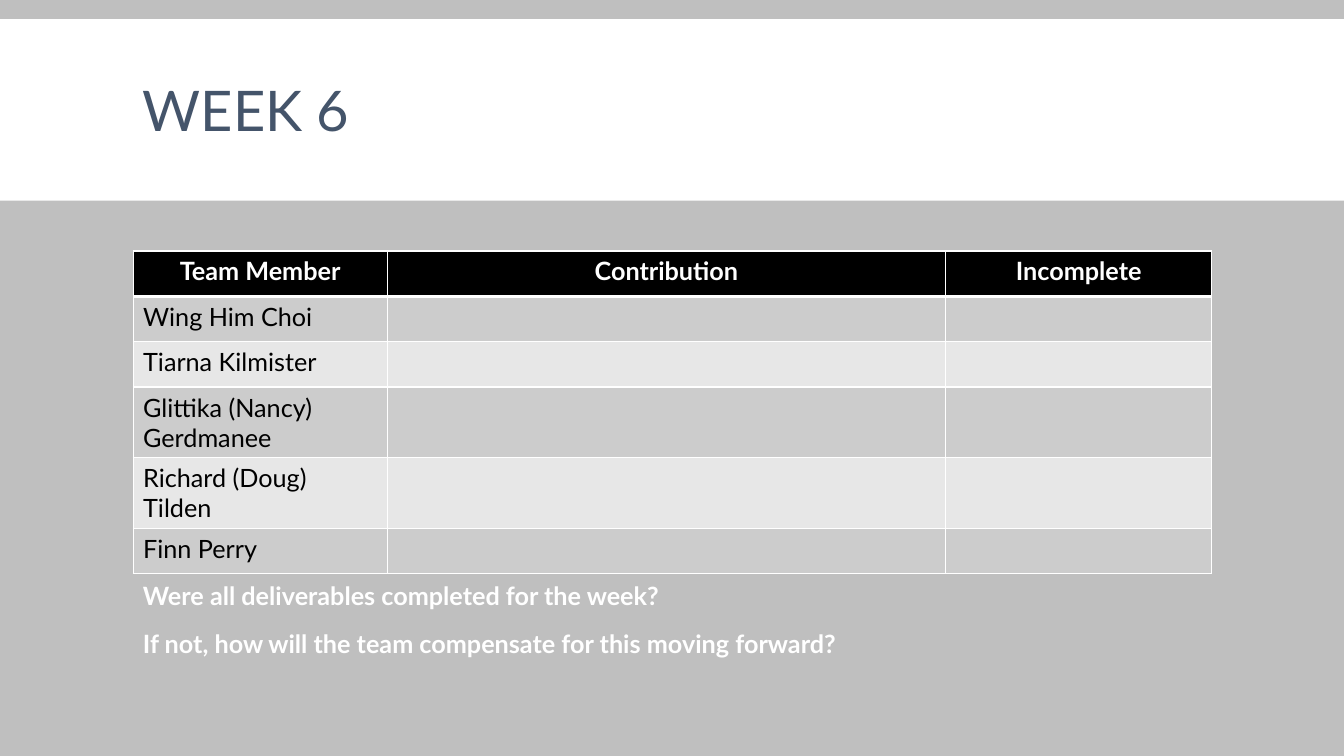
from lxml import etree
from pptx import Presentation
from pptx.dml.color import RGBColor
from pptx.enum import shapes, text
from pptx.oxml.ns import qn
from pptx.util import Inches, Pt

TITLE = "WEEK 6"
HEADINGS = ["Team Member", "Contribution", "Incomplete"]
MEMBERS = [
    "Wing Him Choi",
    "Tiarna Kilmister",
    "Glittika (Nancy) Gerdmanee",
    "Richard (Doug) Tilden",
    "Finn Perry",
]
QUESTIONS = [
    "Were all deliverables completed for the week?",
    "If not, how will the team compensate for this moving forward?",
]

THEME = {
    "font": "Lato", "title_size": 40, "text_size": 18,
    "background": "BFBFBF", "white": "FFFFFF", "title": "44546A",
    "black": "000000", "bands": ["CCCCCC", "E7E7E7"],
}
LEFT, WIDTH = 1.32, 10.7
COLUMN_WIDTHS = [2.52, 5.54, 2.64]
ROW_HEIGHT = 0.45
TITLE_FORMAT = {"line_spacing": 0.85}
QUESTION_FORMAT = {"line_spacing": 0.95, "space_before": Pt(12), "space_after": Pt(2)}
HEADING_FORMAT = {"alignment": text.PP_ALIGN.CENTER}


def paint(fill, color):
    fill.solid()
    fill.fore_color.rgb = RGBColor.from_string(color)


def write(frame, lines, size, color, bold, layout):
    frame.word_wrap = True
    for index, line in enumerate(lines):
        paragraph = frame.add_paragraph() if index else frame.paragraphs[0]
        for name, value in layout.items():
            setattr(paragraph, name, value)
        font = {"name": THEME["font"], "size": Pt(size), "bold": bold}
        run = paragraph.add_run()
        run.text = line
        for name, value in font.items():
            setattr(run.font, name, value)
        run.font.color.rgb = RGBColor.from_string(color)


def add_text(top, height, anchor, *content):
    box = slide.shapes.add_textbox(Inches(LEFT), Inches(top), Inches(WIDTH), Inches(height))
    box.text_frame.vertical_anchor = anchor
    write(box.text_frame, *content)


def add_borders(cell, widths):
    properties = cell._tc.get_or_add_tcPr()
    for index, (side, width) in enumerate(widths.items()):
        border = etree.Element(qn(f"a:ln{side}"), w=str(Pt(width)))
        fill = etree.SubElement(border, qn("a:solidFill"))
        etree.SubElement(fill, qn("a:srgbClr"), val=THEME["white"])
        properties.insert(index, border)


deck = Presentation()
deck.slide_width, deck.slide_height = Inches(13.33), Inches(7.5)
slide = deck.slides.add_slide(deck.slide_layouts[6])
paint(slide.background.fill, THEME["background"])

title_band = slide.shapes.add_shape(
    shapes.MSO_SHAPE.RECTANGLE, 0, Inches(0.19), deck.slide_width, Inches(1.8))
title_band.shadow.inherit = False
paint(title_band.fill, THEME["white"])
title_band.line.fill.background()

add_text(0.31, 1.65, text.MSO_ANCHOR.MIDDLE,
         [TITLE], THEME["title_size"], THEME["title"], False, TITLE_FORMAT)

rows = [HEADINGS] + [[member, "", ""] for member in MEMBERS]
contributions = slide.shapes.add_table(
    len(rows), len(HEADINGS), Inches(LEFT), Inches(2.49),
    Inches(WIDTH), Inches(ROW_HEIGHT * len(rows))).table
for column, width in zip(contributions.columns, COLUMN_WIDTHS):
    column.width = Inches(width)
for row_index, row in enumerate(rows):
    contributions.rows[row_index].height = Inches(ROW_HEIGHT)
    heading = row_index == 0
    fill = THEME["black"] if heading else THEME["bands"][(row_index - 1) % 2]
    color = THEME["white"] if heading else THEME["black"]
    for column_index, entry in enumerate(row):
        cell = contributions.cell(row_index, column_index)
        paint(cell.fill, fill)
        add_borders(cell, {"L": 1, "R": 1, "T": 3 if row_index == 1 else 1,
                           "B": 3 if heading else 1})
        if entry:
            write(cell.text_frame, [entry], THEME["text_size"], color, heading,
                  HEADING_FORMAT if heading else {})

add_text(5.73, 0.88, text.MSO_ANCHOR.TOP,
         QUESTIONS, THEME["text_size"], THEME["white"], True, QUESTION_FORMAT)

deck.save("out.pptx")
